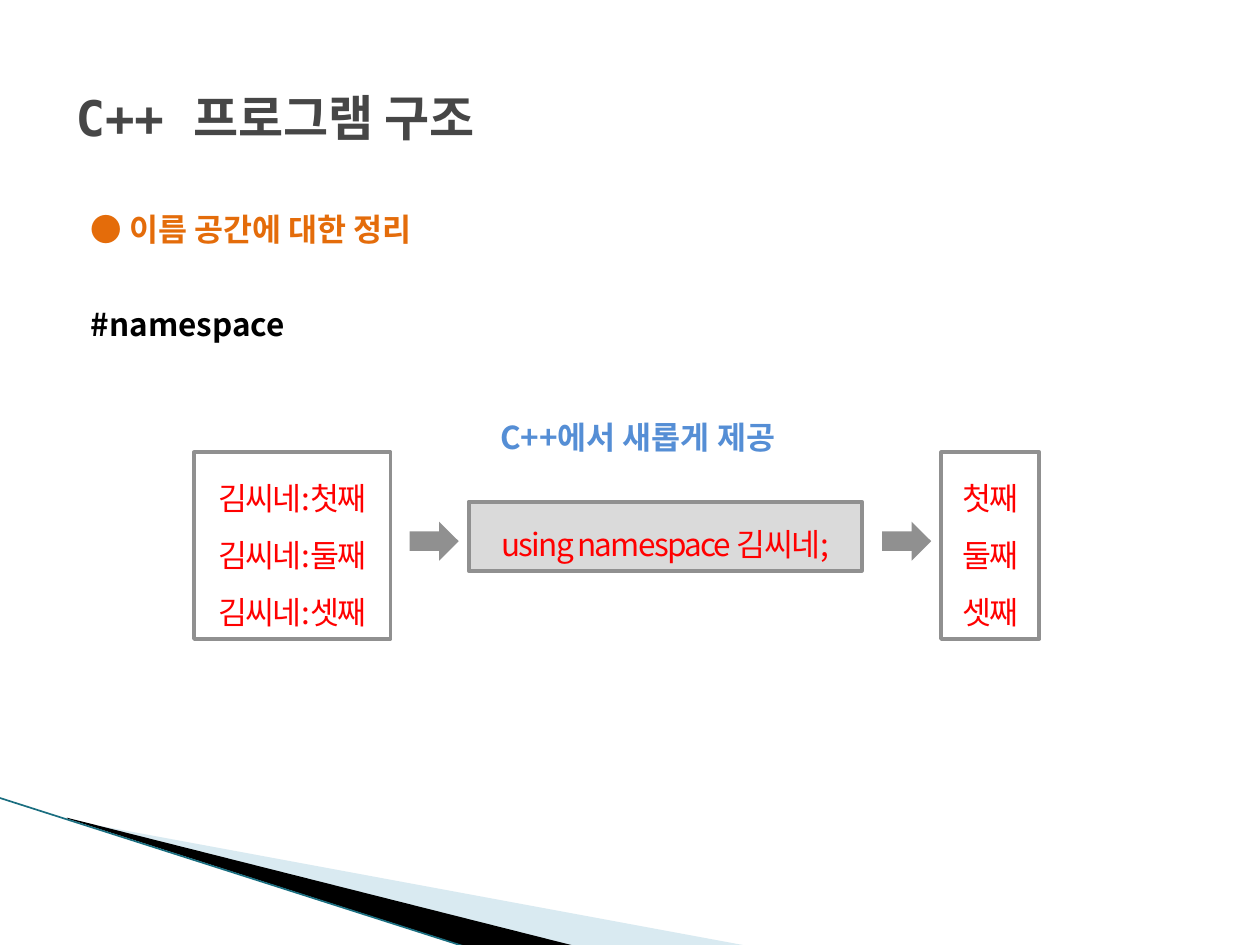
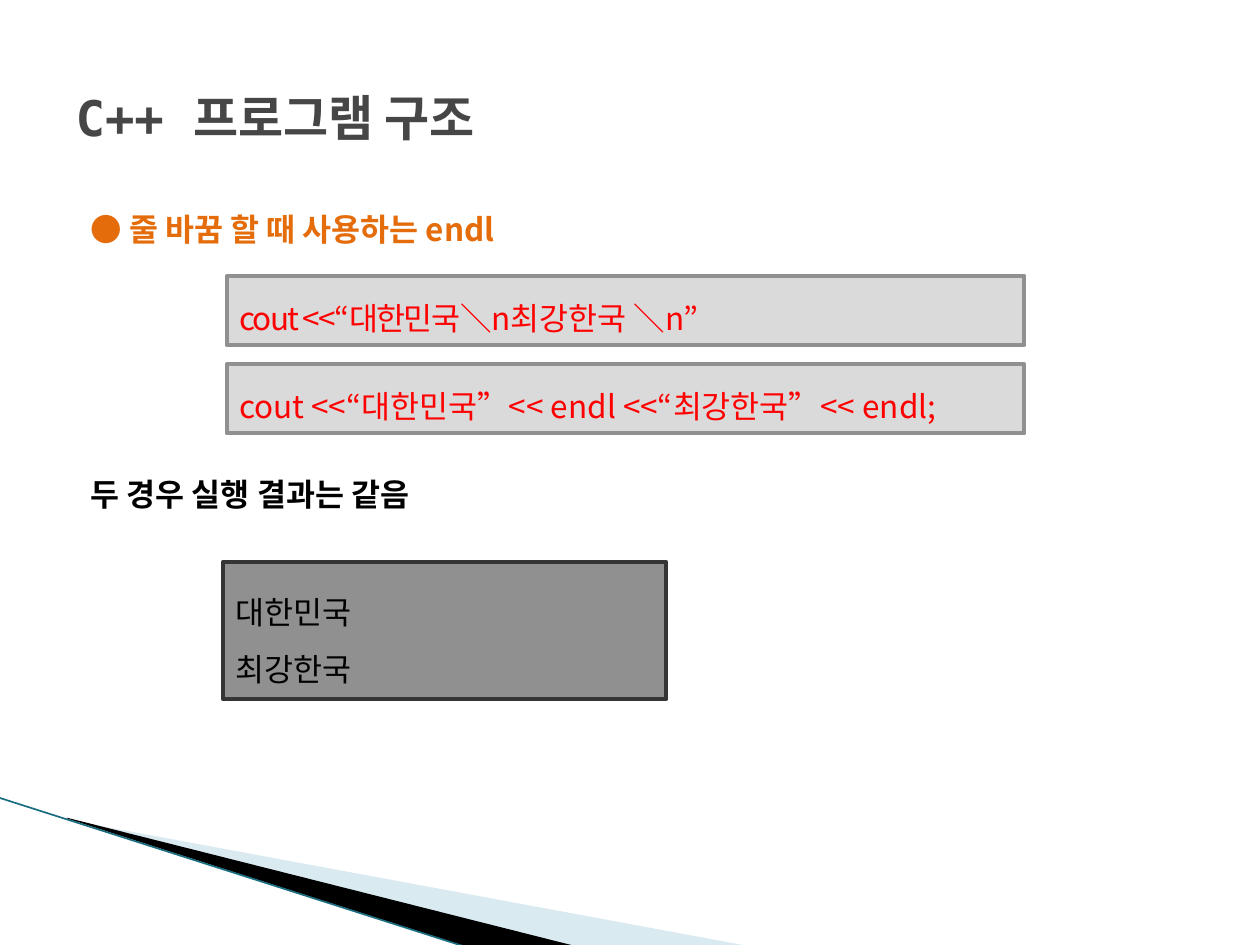
from pptx import Presentation
from pptx.dml.color import RGBColor
from pptx.enum.shapes import MSO_CONNECTOR, MSO_SHAPE
from pptx.enum.text import MSO_ANCHOR, MSO_AUTO_SIZE, PP_ALIGN
from pptx.oxml.ns import qn
from pptx.util import Pt
from lxml import etree

LEFT, CENTER = PP_ALIGN.LEFT, PP_ALIGN.CENTER
MIDDLE, TOP = MSO_ANCHOR.MIDDLE, MSO_ANCHOR.TOP
NO_FIT = MSO_AUTO_SIZE.NONE
RECT, RIGHT_ARROW = MSO_SHAPE.RECTANGLE, MSO_SHAPE.RIGHT_ARROW
STRAIGHT = MSO_CONNECTOR.STRAIGHT

MONO, SANS = "DejaVu Sans Mono", "Noto Sans CJK KR"
BLACK = RGBColor(0x00, 0x00, 0x00)
TITLE_GRAY = RGBColor(0x46, 0x46, 0x46)
ORANGE = RGBColor(0xE4, 0x6C, 0x0A)
BLUE = RGBColor(0x55, 0x8E, 0xD5)
RED = RGBColor(0xFF, 0x00, 0x00)
GRAY = RGBColor(0x90, 0x90, 0x90)
LIGHT_GRAY = RGBColor(0xDA, 0xDA, 0xDA)
DARK_GRAY = RGBColor(0x35, 0x35, 0x35)
PALE_BLUE = RGBColor(0xA0, 0xCB, 0xDC)
TEAL = RGBColor(0x1A, 0x6E, 0x80)

TITLE = "C++ 프로그램 구조"
TITLE_BOX = (36, 21.6, 648, 90)
BODY_BOX = (36, 116.6, 648, 356.4)
PALE_BAND = [(39.6, 468.7), (428.4, 540.7), (328.3, 540.7), (39.6, 468)]
DARK_BAND = [(38.2, 467.3), (329, 540.7), (267.8, 541.4), (38.9, 468)]
EDGE = (-0.7, 455.8, 267.1, 541.4)

NAMES = ["첫째", "둘째", "셋째"]
FAMILY = "김씨네"
TIGHT = -100

SLIDES = [
    {
        "heading": "이름 공간에 대한 정리",
        "body": [
            ("#namespace", BLACK, LEFT, 1.5, 21.6),
            ("C++에서 새롭게 제공", BLUE, CENTER, 1.5, 32.3),
        ],
        "boxes": [
            ((110.9, 258.5, 112.3, 106.6), [[(f"{FAMILY}:{n}", TIGHT)] for n in NAMES],
             None, GRAY, RED, CENTER, 1.5),
            ((537.8, 258.5, 56.2, 106.6), [[(n, TIGHT)] for n in NAMES],
             None, GRAY, RED, CENTER, 1.5),
            ((267.8, 286.6, 224.6, 39.6), [[(f"using namespace {FAMILY};", TIGHT)]],
             LIGHT_GRAY, GRAY, RED, CENTER, 1.4),
        ],
        "arrows": [(x, 298.1, 28.1, 22.3) for x in (234, 504)],
    },
    {
        "heading": "줄 바꿈 할 때 사용하는 endl",
        "body": [("두 경우 실행 결과는 같음", BLACK, LEFT, 1, 129.8)],
        "boxes": [
            ((129.6, 157.7, 455.8, 39.6),
             [[("cout <<“대한민국", TIGHT), ("＼n최강한국 ＼n”", 0)]],
             LIGHT_GRAY, GRAY, RED, LEFT, 1.4),
            ((129.6, 208.1, 455.8, 39.6),
             [[("cout <<“대한민국”<< endl <<“최강한국”<< endl;", 0)]],
             LIGHT_GRAY, GRAY, RED, LEFT, 1.4),
            ((127.4, 321.1, 253.4, 78.5), [[("대한민국", 0)], [("최강한국", 0)]],
             GRAY, DARK_GRAY, BLACK, LEFT, 1.5),
        ],
        "arrows": [],
    },
]


def place(sp, box):
    sp.left, sp.top, sp.width, sp.height = map(Pt, box)


def add_run(p, text, latin=SANS, spacing=0):
    r = p.add_run()
    r.text = text
    r.font.name = latin
    rPr = r.font._element
    ea = etree.Element(qn("a:ea"), typeface=SANS)
    rPr.find(qn("a:latin")).addnext(ea)
    if spacing:
        rPr.set("spc", str(spacing))


def style(p, size, color, bold, align, line=1, before=0):
    p.font.size, p.font.bold = Pt(size), bold
    p.font.color.rgb = color
    p.alignment, p.line_spacing = align, line
    p.space_before, p.space_after = Pt(before), Pt(0)


def paint(sp, fill, line=None):
    sp.shadow.inherit = False
    if fill is None:
        sp.fill.background()
    else:
        sp.fill.solid()
        sp.fill.fore_color.rgb = fill
    if line is None:
        sp.line.fill.background()
    else:
        sp.line.color.rgb = line
        sp.line.width = Pt(2.25)


def add_band(s, points, color):
    start, *rest = [(Pt(x), Pt(y)) for x, y in points]
    builder = s.shapes.build_freeform(*start, scale=1.0)
    builder.add_line_segments(rest, close=True)
    sp = builder.convert_to_shape()
    paint(sp, color)
    return sp


def add_decoration(s):
    pale = add_band(s, PALE_BAND, PALE_BLUE)
    color = pale._element.spPr.find(qn("a:solidFill"))[0]
    etree.SubElement(color, qn("a:alpha"), val="40000")
    add_band(s, DARK_BAND, BLACK)
    edge = s.shapes.add_connector(STRAIGHT, *map(Pt, EDGE))
    edge.line.color.rgb = TEAL
    edge.line.width = Pt(0.95)
    etree.SubElement(edge._element.spPr, qn("a:effectLst"))


def add_title(s):
    sp = s.shapes.title
    place(sp, TITLE_BOX)
    tf = sp.text_frame
    tf.vertical_anchor, tf.auto_size = MIDDLE, NO_FIT
    p = tf.paragraphs[0]
    style(p, 28, TITLE_GRAY, True, LEFT)
    add_run(p, TITLE, MONO)


def add_body(s, heading, lines):
    sp = s.placeholders[1]
    place(sp, BODY_BOX)
    tf = sp.text_frame
    tf.vertical_anchor, tf.auto_size = TOP, NO_FIT
    p = tf.paragraphs[0]
    style(p, 18, ORANGE, True, LEFT)
    add_run(p, "● ", MONO)
    add_run(p, heading)
    for text, color, align, line, before in lines:
        p = tf.add_paragraph()
        style(p, 18, color, True, align, line, before)
        add_run(p, text)
    for p in tf.paragraphs:
        pPr = p._p.get_or_add_pPr()
        pPr.set("marL", str(Pt(28.8)))
        pPr.set("indent", str(Pt(-20.16)))
        pPr.find(qn("a:spcAft")).addnext(etree.Element(qn("a:buNone")))


def add_box(s, box, lines, fill, line, color, align, spacing):
    sp = s.shapes.add_shape(RECT, *map(Pt, box))
    paint(sp, fill, line)
    tf = sp.text_frame
    tf.word_wrap, tf.vertical_anchor = True, MIDDLE
    for i, runs in enumerate(lines):
        p = tf.add_paragraph() if i else tf.paragraphs[0]
        style(p, 18, color, False, align, spacing)
        for text, tracking in runs:
            add_run(p, text, spacing=tracking)


def main():
    prs = Presentation()
    prs.slide_width, prs.slide_height = Pt(720), Pt(540)
    for content in SLIDES:
        s = prs.slides.add_slide(prs.slide_layouts[1])
        add_decoration(s)
        add_title(s)
        add_body(s, content["heading"], content["body"])
        for box in content["boxes"]:
            add_box(s, *box)
        for arrow in content["arrows"]:
            paint(s.shapes.add_shape(RIGHT_ARROW, *map(Pt, arrow)), GRAY)
    prs.save("out.pptx")


if __name__ == "__main__":
    main()
